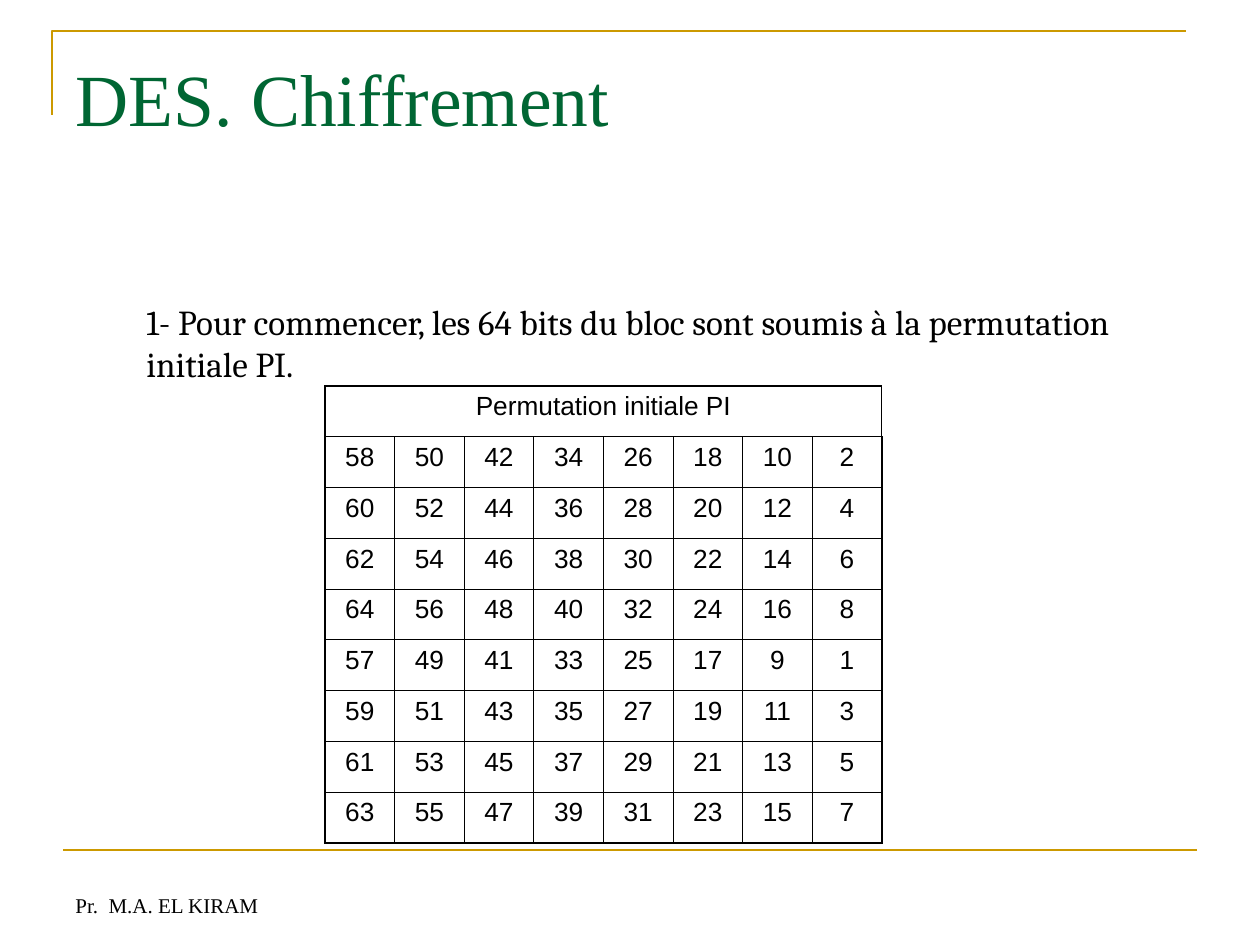
"""Build the slide on the initial permutation of DES."""
import lxml.etree
import pptx
import pptx.dml.color
import pptx.enum.shapes
import pptx.enum.text
import pptx.oxml.ns
import pptx.util

EMU_PER_PX = 914400 / 126
GOLD, GREEN, BLACK = "CC9900", "006633", "000000"
ANCHOR = pptx.enum.text.MSO_ANCHOR
ALIGN = pptx.enum.text.PP_ALIGN
ROW_STARTS = [58, 60, 62, 64, 57, 59, 61, 63]
COLUMNS = 8


def px(value):
    return pptx.util.Emu(round(value * EMU_PER_PX))


def color(hex_value):
    return pptx.dml.color.RGBColor.from_string(hex_value)


def write(frame, text, *, size, font, ink=BLACK, align=ALIGN.LEFT, anchor=ANCHOR.TOP):
    frame.word_wrap = True
    frame.vertical_anchor = anchor
    paragraph = frame.paragraphs[0]
    paragraph.text = text
    paragraph.alignment = align
    paragraph.font.size = pptx.util.Pt(size)
    paragraph.font.name = font
    paragraph.font.bold = False
    paragraph.font.color.rgb = color(ink)


def add_text(slide, text, left, top, width, height, **text_format):
    box = slide.shapes.add_textbox(px(left), px(top), px(width), px(height))
    write(box.text_frame, text, **text_format)


def set_title(slide, text, left, top, width, height):
    title = slide.shapes.title
    title.left, title.top, title.width, title.height = map(px, (left, top, width, height))
    frame = title.text_frame
    frame.auto_size = pptx.enum.text.MSO_AUTO_SIZE.NONE
    frame.margin_top = px(15)
    write(frame, text, size=42, font="Times New Roman", ink=GREEN)


def style_line(shape):
    shape.line.color.rgb = color(GOLD)
    shape.line.width = pptx.util.Pt(1.5)


def add_corner(slide, left, top, right, bottom):
    builder = slide.shapes.build_freeform(px(left), px(bottom))
    builder.add_line_segments([(px(left), px(top)), (px(right), px(top))], close=False)
    corner = builder.convert_to_shape()
    corner.shadow.inherit = False
    corner.fill.background()
    style_line(corner)


def add_rule(slide, left, right, y):
    straight = pptx.enum.shapes.MSO_CONNECTOR.STRAIGHT
    rule = slide.shapes.add_connector(straight, px(left), px(y), px(right), px(y))
    style_line(rule)
    lxml.etree.SubElement(rule._element.spPr, pptx.oxml.ns.qn("a:effectLst"))


def set_borders(cell, widths):
    properties = cell._tc.get_or_add_tcPr()
    for side, width in widths.items():
        line = lxml.etree.SubElement(
            properties, pptx.oxml.ns.qn(f"a:ln{side}"), w=str(pptx.util.Pt(width)))
        fill = lxml.etree.SubElement(line, pptx.oxml.ns.qn("a:solidFill"))
        lxml.etree.SubElement(fill, pptx.oxml.ns.qn("a:srgbClr"), val=BLACK)


def add_permutation_table(slide, heading, left, top, width, height):
    last_row, last_column = len(ROW_STARTS), COLUMNS - 1
    table = slide.shapes.add_table(
        last_row + 1, COLUMNS, px(left), px(top), px(width), px(height)).table
    table.first_row = table.horz_banding = False
    table.cell(0, 0).merge(table.cell(0, last_column))
    for row in range(last_row + 1):
        for column in range(COLUMNS):
            cell = table.cell(row, column)
            outer_sides = {"L": column == 0, "R": column == last_column,
                           "T": row == 0, "B": row == last_row}
            set_borders(cell, {side: 1.08 if outer else 0.45
                               for side, outer in outer_sides.items()})
            cell.fill.background()
            if cell.is_spanned:
                continue
            text = str(ROW_STARTS[row - 1] - 8 * column) if row else heading
            write(cell.text_frame, text, size=15, font="Arial", align=ALIGN.CENTER)


def main():
    presentation = pptx.Presentation()
    presentation.slide_width, presentation.slide_height = px(1260), px(945)
    slide = presentation.slides.add_slide(presentation.slide_layouts[5])
    add_corner(slide, 52, 31, 1186, 115)
    add_rule(slide, 63, 1197, 850)
    add_text(slide, "Pr.  M.A. EL KIRAM", 63, 861, 294, 63,
             size=12, font="Times New Roman", anchor=ANCHOR.BOTTOM)
    set_title(slide, "DES. Chiffrement", 63, 38, 1134, 157)
    add_text(slide, "1- Pour commencer, les 64 bits du bloc sont soumis à la permutation initiale PI.",
             134, 294, 1022, 97, size=20, font="Cambria")
    add_permutation_table(slide, "Permutation initiale PI", 325, 386, 557, 457)
    presentation.save("out.pptx")


if __name__ == "__main__":
    main()
